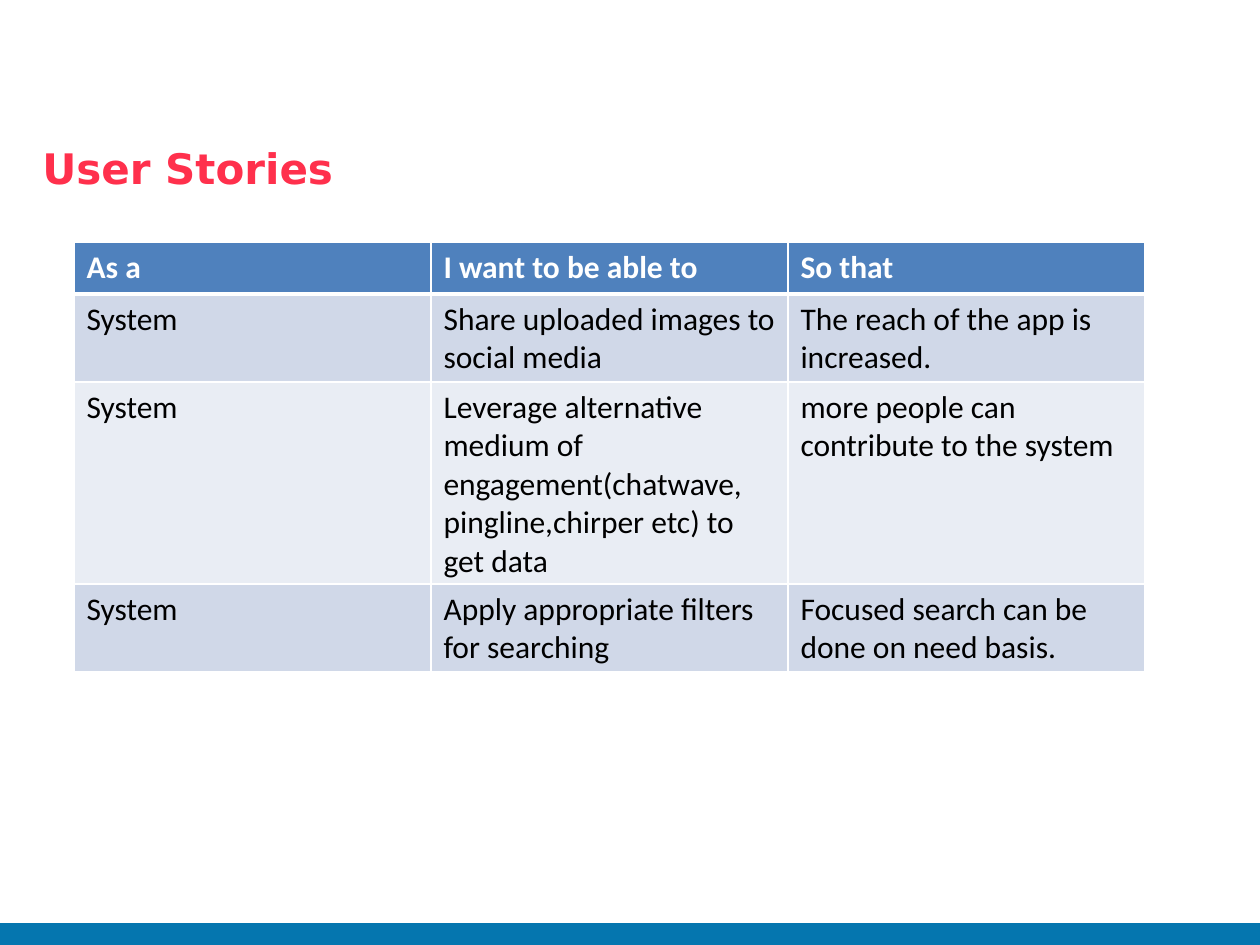
from dataclasses import dataclass

from lxml import etree
from pptx import Presentation
from pptx.dml.color import RGBColor
from pptx.enum.shapes import MSO_SHAPE
from pptx.enum.text import MSO_AUTO_SIZE
from pptx.oxml.ns import qn
from pptx.util import Emu, Inches, Pt

RECTANGLE = MSO_SHAPE.RECTANGLE
GROW = MSO_AUTO_SIZE.SHAPE_TO_FIT_TEXT
PIXEL = Inches(1) / 126


@dataclass(frozen=True)
class Theme:
    footer: str = "0576AF"
    title: str = "FF304C"
    header: str = "4F81BD"
    bands: tuple = ("D0D8E8", "E9EDF4")
    light: str = "FFFFFF"
    dark: str = "000000"
    title_font: str = "DejaVu Sans"
    body_font: str = "Calibri"
    title_size: int = 24
    body_size: int = 18
    thin: int = 1
    thick: int = 3


def px(length):
    return Emu(round(length * PIXEL))


class SlideBuilder:
    def __init__(self, slide, theme):
        self.slide = slide
        self.theme = theme

    def add_text(self, frame, text, color, font, size, bold):
        run = frame.paragraphs[0].add_run()
        run.text = text
        for key, value in {"name": font, "size": Pt(size), "bold": bold}.items():
            setattr(run.font, key, value)
        run.font.color.rgb = RGBColor.from_string(color)

    def bar(self, left, top, width, height, color):
        bar = self.slide.shapes.add_shape(RECTANGLE, *map(px, (left, top, width, height)))
        bar.shadow.inherit = False
        bar.fill.solid()
        bar.fill.fore_color.rgb = RGBColor.from_string(color)
        bar.line.fill.background()

    def title(self, left, top, width, height, text):
        theme = self.theme
        box = self.slide.shapes.add_textbox(*map(px, (left, top, width, height)))
        frame = box.text_frame
        for key, value in {"word_wrap": True, "auto_size": GROW}.items():
            setattr(frame, key, value)
        self.add_text(frame, text, theme.title, theme.title_font, theme.title_size, True)

    def borders(self, cell, top, bottom):
        thin = self.theme.thin
        properties = cell._tc.get_or_add_tcPr()
        sides = {"a:lnL": thin, "a:lnR": thin, "a:lnT": top, "a:lnB": bottom}
        for position, (side, width) in enumerate(sides.items()):
            line = etree.Element(qn(side), w=str(Pt(width)))
            fill = etree.SubElement(line, qn("a:solidFill"))
            etree.SubElement(fill, qn("a:srgbClr"), val=self.theme.light)
            properties.insert(position, line)

    def table(self, left, top, column_width, row_height, rows):
        theme = self.theme
        columns = len(rows[0])
        size = (left, top, column_width * columns, row_height * len(rows))
        table = self.slide.shapes.add_table(len(rows), columns, *map(px, size)).table
        for column in table.columns:
            column.width = px(column_width)
        for index, (row, texts) in enumerate(zip(table.rows, rows)):
            row.height = px(row_height)
            is_header = index == 0
            fill = theme.header if is_header else theme.bands[(index - 1) % 2]
            color = theme.light if is_header else theme.dark
            above = theme.thick if index == 1 else theme.thin
            below = theme.thick if is_header else theme.thin
            for cell, text in zip(row.cells, texts):
                cell.fill.solid()
                cell.fill.fore_color.rgb = RGBColor.from_string(fill)
                self.borders(cell, above, below)
                self.add_text(cell.text_frame, text, color, theme.body_font,
                              theme.body_size, is_header)


STORIES = [
    ("As a", "I want to be able to", "So that"),
    ("System", "Share uploaded images to social media",
     "The reach of the app is increased."),
    ("System",
     "Leverage alternative medium of engagement(chatwave, pingline,chirper etc) to get data",
     "more people can contribute to the system"),
    ("System", "Apply appropriate filters for searching",
     "Focused search can be done on need basis."),
]

presentation = Presentation()
presentation.slide_width = px(1260)
presentation.slide_height = px(945)
theme = Theme()
builder = SlideBuilder(
    presentation.slides.add_slide(presentation.slide_layouts[6]), theme)
builder.bar(0, 923, 1260, 22, theme.footer)
builder.title(30, 136, 631, 63, "User Stories")
builder.table(74, 242, 357, 52, STORIES)
presentation.save("out.pptx")
